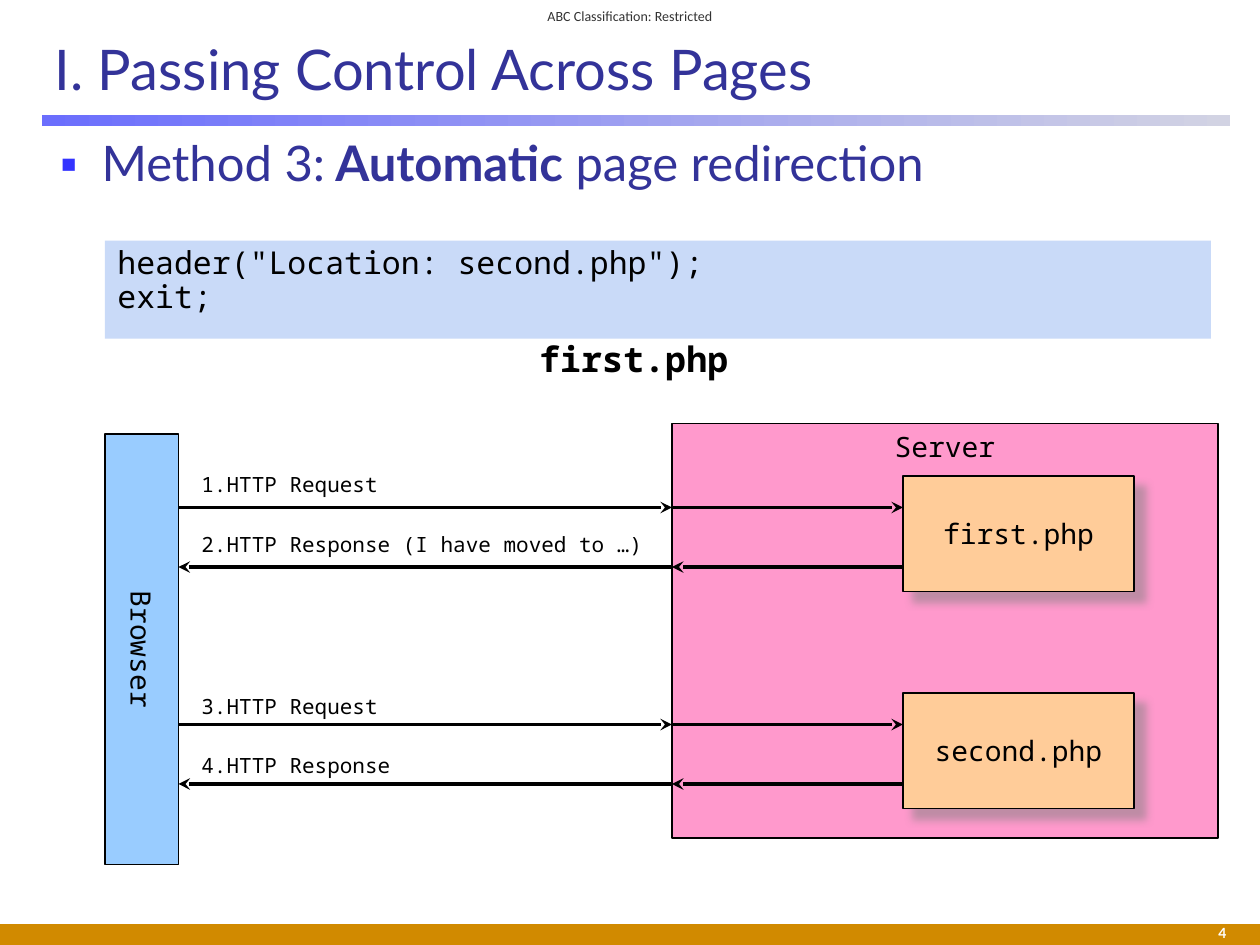
from pptx import Presentation
from pptx.dml.color import RGBColor
from pptx.enum.shapes import MSO_CONNECTOR, MSO_SHAPE
from pptx.enum.text import MSO_ANCHOR, MSO_AUTO_SIZE, PP_ALIGN
from pptx.oxml import parse_xml
from pptx.oxml.ns import nsdecls, qn
from pptx.util import Pt

COLORS = {
    "heading": "333399", "bullet": "3333FF", "ink": "000000", "white": "FFFFFF",
    "notice": "333333", "footer": "D18A00", "rule_start": "6B6EFD",
    "rule_end": "D2D3E3", "code": "C9DAF8", "browser": "99CCFF",
    "server": "FF99CC", "page": "FFCC99", "shadow": "808080",
}
MONO = "Noto Sans Mono"


def color(name):
    return RGBColor.from_string(COLORS[name])


def style(paragraph, size, font=MONO, ink="ink", bold=None, align=PP_ALIGN.LEFT):
    paragraph.alignment = align
    paragraph.font.name = font
    paragraph.font.size = Pt(size)
    paragraph.font.bold = bold
    paragraph.font.color.rgb = color(ink)


def add_text(slide, box, text, size, anchor=MSO_ANCHOR.TOP, inset=3.6, **look):
    frame = slide.shapes.add_textbox(*map(Pt, box)).text_frame
    frame.word_wrap = True
    frame.vertical_anchor = anchor
    frame.margin_top = frame.margin_bottom = Pt(inset)
    frame.text = text
    style(frame.paragraphs[0], size, **look)
    return frame


def add_box(slide, box, fill, text="", size=16, outlined=True,
            anchor=MSO_ANCHOR.MIDDLE, align=PP_ALIGN.CENTER):
    panel = slide.shapes.add_shape(MSO_SHAPE.RECTANGLE, *map(Pt, box))
    panel.shadow.inherit = False
    panel.fill.solid()
    panel.fill.fore_color.rgb = color(fill)
    if outlined:
        panel.line.color.rgb = color("ink")
        panel.line.width = Pt(1)
    else:
        panel.line.fill.background()
    panel.text_frame.vertical_anchor = anchor
    if text:
        panel.text_frame.text = text
        for paragraph in panel.text_frame.paragraphs:
            style(paragraph, size, align=align)
    return panel


def add_arrow(slide, start, end, y):
    arrow = slide.shapes.add_connector(
        MSO_CONNECTOR.STRAIGHT, Pt(start), Pt(y), Pt(end), Pt(y))
    arrow.line.color.rgb = color("ink")
    arrow.line.width = Pt(2.25)
    properties = arrow._element.spPr
    properties.find(qn("a:ln")).append(
        parse_xml(f'<a:tailEnd {nsdecls("a")} type="stealth"/>'))
    properties.append(parse_xml(f'<a:effectLst {nsdecls("a")}/>'))


def add_page(slide, box, name):
    page = add_box(slide, box, "page", name)
    page._element.spPr.find(qn("a:effectLst")).append(parse_xml(
        f'<a:outerShdw {nsdecls("a")} blurRad="{Pt(5)}" dist="{Pt(8.5)}" '
        f'dir="2700000" algn="ctr" rotWithShape="0">'
        f'<a:srgbClr val="{COLORS["shadow"]}"><a:alpha val="50000"/></a:srgbClr>'
        f'</a:outerShdw>'))


def add_frame(slide, width, height):
    add_box(slide, (0, height - 12, width, 12), "footer", outlined=False)
    rule = add_box(slide, (24, 65.75, 679, 6.25), "rule_start", outlined=False)
    rule.fill.gradient()
    rule.fill.gradient_angle = 0
    for stop, name in zip(rule.fill.gradient_stops, ("rule_start", "rule_end")):
        stop.color.rgb = color(name)
    add_text(slide, (301, 0, 118, 18), "ABC Classification: Restricted", 8,
             MSO_ANCHOR.MIDDLE, 0, font="Calibri", ink="notice",
             align=PP_ALIGN.CENTER)
    add_text(slide, (606, height - 14, 102, 14), "4", 8, MSO_ANCHOR.MIDDLE, 0,
             font="Lato", ink="white", bold=True, align=PP_ALIGN.RIGHT)


def add_heading(slide, box):
    left, top, width, height = box
    title = slide.shapes.title
    title.left, title.top, title.width, title.height = map(Pt, box)
    title.text_frame.text = "I. Passing Control Across Pages"
    title.text_frame.vertical_anchor = MSO_ANCHOR.MIDDLE
    title.text_frame.auto_size = MSO_AUTO_SIZE.NONE
    style(title.text_frame.paragraphs[0], 32, font="Lato", ink="heading")

    method = add_text(slide, (left, top + 60, width, 48), "Method 3:", 28,
                      font="Lato", ink="heading").paragraphs[0]
    automatic = method.add_run()
    automatic.text = " Automatic"
    automatic.font.bold = True
    method.add_run().text = " page redirection"
    properties = method._p.get_or_add_pPr()
    properties.set("marL", str(Pt(27)))
    properties.set("indent", str(-Pt(27)))
    bullet = (f'<a:buClr {nsdecls("a")}><a:srgbClr val="{COLORS["bullet"]}"/></a:buClr>',
              f'<a:buFont {nsdecls("a")} typeface="{MONO}"/>',
              f'<a:buChar {nsdecls("a")} char="▪"/>')
    for position, part in enumerate(bullet):
        properties.insert(position, parse_xml(part))


def add_code(slide, box):
    left, top, width, height = box
    code = add_box(slide, box, "code", 'header("Location: second.php");\nexit;', 18,
                   outlined=False, anchor=MSO_ANCHOR.TOP, align=PP_ALIGN.LEFT)
    for line in code.text_frame.paragraphs:
        line.line_spacing = 0.9
    caption = add_text(slide, (left + 241, top + height - 4, 124, 32),
                       "first.php", 20, bold=True)
    caption.word_wrap = False


def add_exchange(slide, top, edges, page_name, request, response, label_rise):
    browser_edge, server_edge, page_edge = edges
    add_page(slide, (page_edge, top, 132, 66), page_name)
    request_y, response_y = top + 18, top + 52
    add_arrow(slide, browser_edge, server_edge, request_y)
    add_arrow(slide, server_edge, page_edge, request_y)
    add_arrow(slide, page_edge, server_edge, response_y)
    add_arrow(slide, server_edge, browser_edge, response_y)
    for label, y in ((request, request_y), (response, response_y)):
        add_text(slide, (browser_edge + 6, y - label_rise, 270, 22), label, 12)


def add_flow(slide, box):
    left, top, width, height = box
    bar, length, bar_top = 42, 246, top + 6
    server_left = left + 324
    add_box(slide, (server_left, top, width - 324, 237), "server", "Server",
            anchor=MSO_ANCHOR.TOP)
    browser = add_box(slide, (left + (bar - length) / 2,
                              bar_top + (length - bar) / 2, length, bar),
                      "browser", "Browser")
    browser.rotation = 90
    edges = (left + bar, server_left, server_left + 132)
    add_exchange(slide, top + 30, edges, "first.php", "1.HTTP Request",
                 "2.HTTP Response (I have moved to …)", 24)
    add_exchange(slide, top + 154, edges, "second.php", "3.HTTP Request",
                 "4.HTTP Response", 21.5)


def main():
    deck = Presentation()
    deck.slide_width, deck.slide_height = Pt(720), Pt(540)
    slide = deck.slides.add_slide(deck.slide_layouts[5])
    add_frame(slide, 720, 540)
    add_heading(slide, (24, 12, 678, 54))
    add_code(slide, (60, 137.5, 632, 56))
    add_flow(slide, (60, 242, 636, 252))
    deck.save("out.pptx")


if __name__ == "__main__":
    main()
